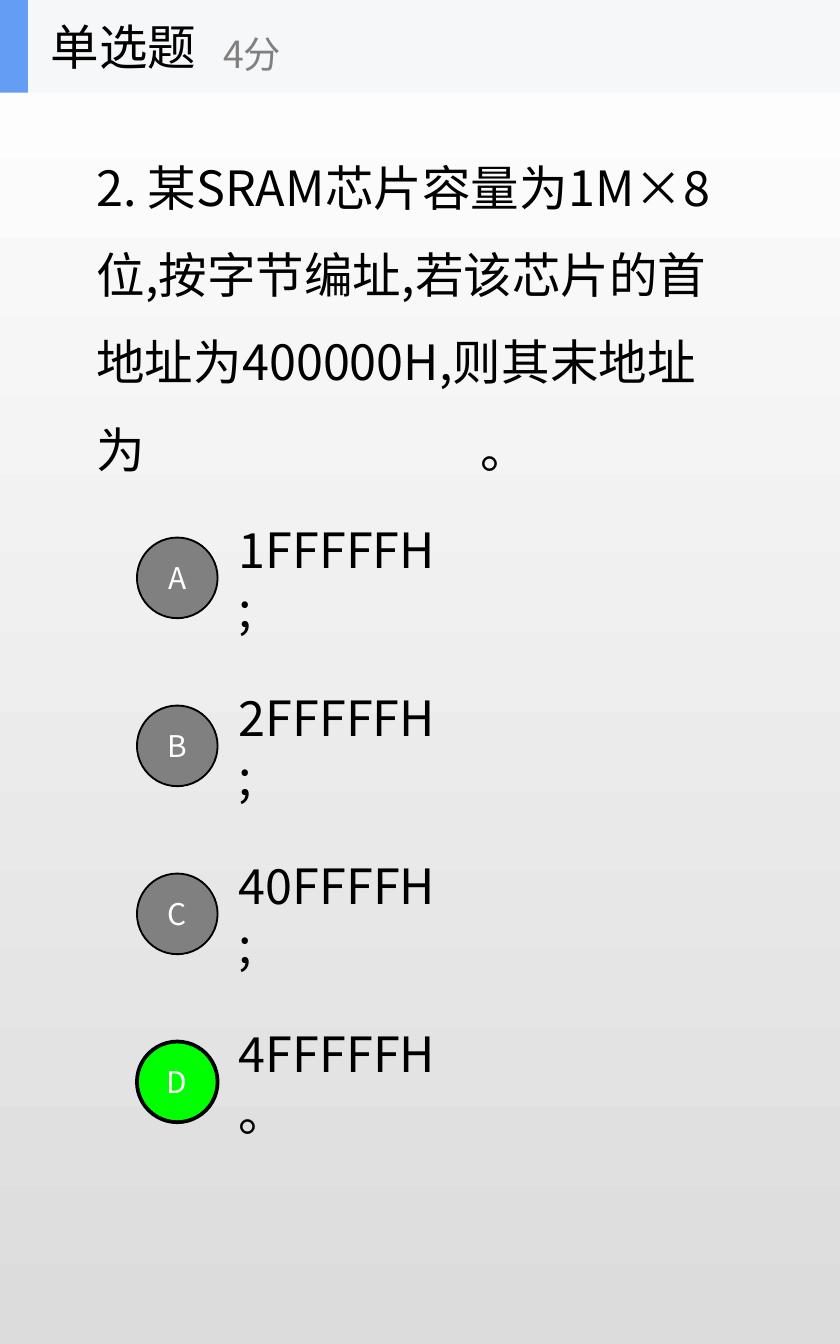
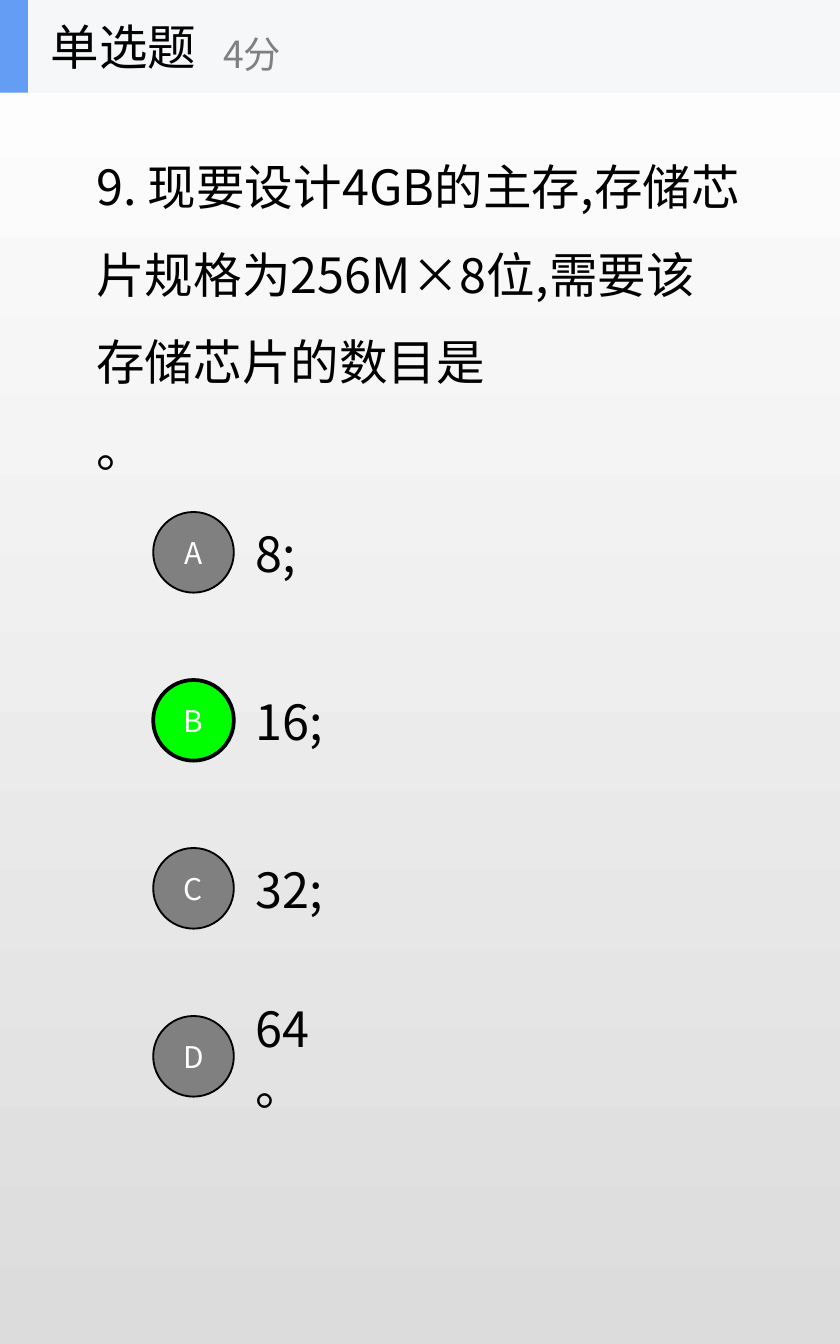
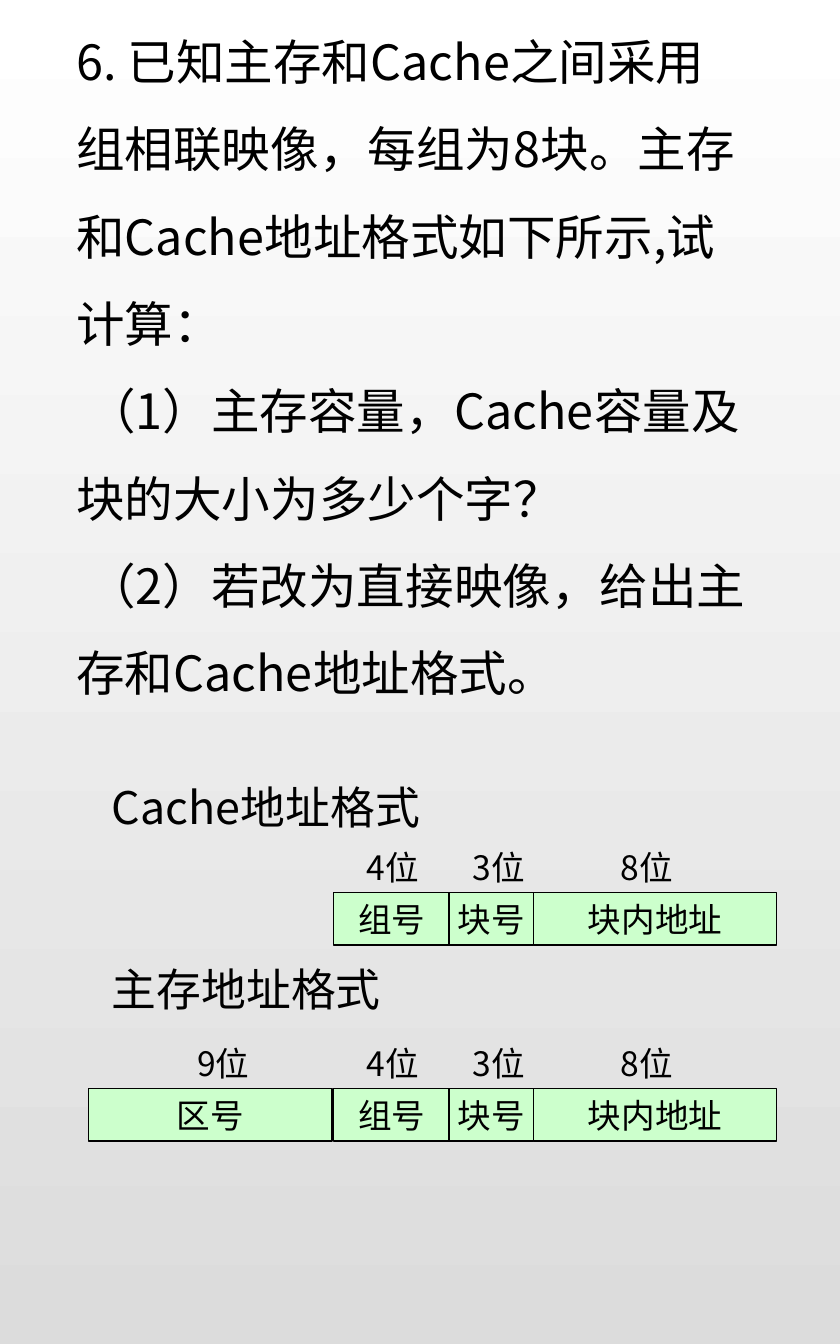
"""Build three computer-architecture quiz slides."""
from dataclasses import dataclass

from pptx import Presentation
from pptx.dml.color import RGBColor
from pptx.enum.shapes import MSO_SHAPE as SHAPE
from pptx.enum.text import MSO_ANCHOR as ANCHOR, MSO_AUTO_SIZE as AUTO, PP_ALIGN as ALIGN
from pptx.oxml.xmlchemy import OxmlElement
from pptx.util import Pt

CJK_FONT = "Noto Sans CJK SC"
LATIN_FONT = "Arial"
BLACK = RGBColor(0x00, 0x00, 0x00)
WHITE = RGBColor(0xFF, 0xFF, 0xFF)
GRAY = RGBColor(0x80, 0x80, 0x80)
BACK_END = RGBColor(0xDC, 0xDC, 0xDC)
BAND = RGBColor(0xF6, 0xF7, 0xF8)
ACCENT = RGBColor(0x63, 0x9E, 0xF4)
CORRECT = RGBColor(0x00, 0xFF, 0x00)
FIELD_FILL = RGBColor(0xCC, 0xFF, 0xCC)

SLIDE_W, SLIDE_H = 450, 720
BAND_H = 49.7
CIRCLE = 43.2
OPTION_PITCH = 90
FIELD_H = 28.1


@dataclass(frozen=True)
class Box:
    """Position and size in points."""
    left: float
    top: float
    width: float
    height: float

    def emu(self) -> tuple:
        """Return the four lengths for a python-pptx call."""
        return Pt(self.left), Pt(self.top), Pt(self.width), Pt(self.height)


@dataclass(frozen=True)
class Option:
    """One answer and the width of its text box."""
    text: str
    width: float


@dataclass(frozen=True)
class Choice:
    """A single-choice question with a blank ending at a tab stop."""
    stem: str
    box: Box
    blank_end: float
    left: float
    top: float
    options: tuple[Option, ...]
    answer: int


@dataclass(frozen=True)
class Field:
    """One part of an address and the label above it."""
    name: str
    left: float
    width: float
    bits: str
    bits_left: float
    bits_width: float = 54.7


@dataclass(frozen=True)
class Format:
    """A titled row of address fields."""
    title: str
    title_box: Box
    top: float
    fields: tuple[Field, ...]


CHOICES = (
    Choice("2. 某SRAM芯片容量为1M×8位,按字节编址,若该芯片的首地址为400000H,则其末地址为 ",
           Box(44.6, 64.1, 350.6, 196.6), 200, 73.4, 288,
           (Option("1FFFFFH;", 125.3), Option("2FFFFFH;", 125.3),
            Option("40FFFFH;", 126.7), Option("4FFFFFH。", 144.7)), 3),
    Choice("9. 现要设计4GB的主存,存储芯片规格为256M×8位,需要该存储芯片的数目是 ",
           Box(44.6, 87.8, 359.3, 149), 344, 82.1, 274.3,
           (Option("8;", 51.1), Option("16;", 51.1),
            Option("32;", 51.1), Option("64。", 55.4)), 1),
)

CACHE_QUESTION = (
    "6. 已知主存和Cache之间采用组相联映像，每组为8块。主存和Cache地址格式如下所示,试计算：",
    " （1）主存容量，Cache容量及块的大小为多少个字？",
    " （2）若改为直接映像，给出主存和Cache地址格式。",
)
CACHE_FIELDS = (
    Field("组号", 178.6, 62.6, "4位", 189.4),
    Field("块号", 240.5, 45.4, "3位", 246.2),
    Field("块内地址", 285.8, 130.3, "8位", 325.4),
)
ZONE_FIELD = Field("区号", 47.5, 130.3, "9位", 98.6, 51.1)
FORMATS = (
    Format(" Cache地址格式", Box(47.5, 414, 208.1, 36), 478.1, CACHE_FIELDS),
    Format(" 主存地址格式", Box(47.5, 511.9, 181.4, 36), 583.2, (ZONE_FIELD, *CACHE_FIELDS)),
)


def style(p, size: float, color: RGBColor = BLACK, font: str = CJK_FONT) -> None:
    """Format every run of a paragraph."""
    for r in p.runs:
        r.font.size = Pt(size)
        r.font.color.rgb = color
        r.font.name = font
        rpr = r._r.get_or_add_rPr()
        rpr.set("lang", "zh-CN")
        ea = OxmlElement("a:ea")
        ea.set("typeface", CJK_FONT)
        rpr.append(ea)


def add_text(shapes, box: Box, text: str, size: float, color: RGBColor = BLACK,
             anchor: ANCHOR = ANCHOR.TOP, grow: bool = True, wrap: bool = True):
    """Add a text box and return its text frame."""
    tf = shapes.add_textbox(*box.emu()).text_frame
    tf.text = text
    tf.word_wrap = wrap
    tf.auto_size = AUTO.SHAPE_TO_FIT_TEXT if grow else AUTO.NONE
    tf.vertical_anchor = anchor
    for p in tf.paragraphs:
        style(p, size, color)
    return tf


def add_filled(shapes, kind: SHAPE, box: Box, fill: RGBColor, line: float = 0):
    """Add a flat shape with a black outline, or none for zero width."""
    sp = shapes.add_shape(kind, *box.emu())
    sp.shadow.inherit = False
    sp.fill.solid()
    sp.fill.fore_color.rgb = fill
    if line:
        sp.line.color.rgb = BLACK
        sp.line.width = Pt(line)
    else:
        sp.line.fill.background()
    return sp


def add_label(sp, text: str, size: float, color: RGBColor, font: str) -> None:
    """Write centred text in a shape."""
    tf = sp.text_frame
    tf.text = text
    tf.word_wrap = False
    tf.vertical_anchor = ANCHOR.MIDDLE
    p = tf.paragraphs[0]
    p.alignment = ALIGN.CENTER
    style(p, size, color, font)


def add_header(s) -> None:
    """Draw the band with the question type and its points."""
    shapes = s.shapes.add_group_shape().shapes
    add_filled(shapes, SHAPE.RECTANGLE, Box(0, 0, SLIDE_W, BAND_H), BAND)
    add_filled(shapes, SHAPE.RECTANGLE, Box(0, 0, 15, BAND_H), ACCENT)
    add_text(shapes, Box(20, 0, 150, BAND_H), "单选题", 26,
             anchor=ANCHOR.MIDDLE, grow=False, wrap=False)
    add_text(shapes, Box(112.5, 8.5, 180, 40.5), "4分", 20, GRAY,
             anchor=ANCHOR.MIDDLE, grow=False, wrap=False)


def add_stem(s, choice: Choice) -> None:
    """Write the question with an underlined blank."""
    tf = add_text(s.shapes, choice.box, choice.stem, 26, anchor=ANCHOR.MIDDLE)
    p = tf.paragraphs[0]
    tabs = OxmlElement("a:tabLst")
    tab = OxmlElement("a:tab")
    tab.set("pos", str(Pt(choice.blank_end)))
    tab.set("algn", "l")
    tabs.append(tab)
    p._p.get_or_add_pPr().append(tabs)
    p.line_spacing = 1.5
    blank, end = p.add_run(), p.add_run()
    blank.text, end.text = "\t", " 。"
    blank.font.underline = True
    end.font.underline = False
    style(p, 26)


def add_choice_slide(prs, choice: Choice) -> None:
    """Build a single-choice slide."""
    s = prs.slides.add_slide(prs.slide_layouts[6])
    add_stem(s, choice)
    for i, option in enumerate(choice.options):
        top = choice.top + i * OPTION_PITCH
        add_text(s.shapes, Box(choice.left + 47.5, top + 2.9, option.width, 38.2),
                 option.text, 26, anchor=ANCHOR.MIDDLE)
        right = i == choice.answer
        sp = add_filled(s.shapes, SHAPE.OVAL, Box(choice.left, top, CIRCLE, CIRCLE),
                        CORRECT if right else GRAY, 2 if right else 1)
        add_label(sp, "ABCD"[i], 16, WHITE, CJK_FONT)
    add_header(s)


def add_format(s, fmt: Format) -> None:
    """Draw an address format with its bit counts."""
    add_text(s.shapes, fmt.title_box, fmt.title, 24)
    shapes = s.shapes.add_group_shape().shapes
    for f in fmt.fields:
        sp = add_filled(shapes, SHAPE.FLOWCHART_PROCESS,
                        Box(f.left, fmt.top, f.width, FIELD_H), FIELD_FILL, 0.75)
        add_label(sp, f.name, 18, BLACK, LATIN_FONT)
        add_text(shapes, Box(f.bits_left, fmt.top - FIELD_H, f.bits_width, 28.8), f.bits, 18)


def add_cache_slide(prs) -> None:
    """Build the cache mapping question."""
    s = prs.slides.add_slide(prs.slide_layouts[6])
    tf = add_text(s.shapes, Box(33.8, 46.8, 375.1, 283.7), "\n".join(CACHE_QUESTION), 26,
                  anchor=ANCHOR.MIDDLE, grow=False)
    for p in tf.paragraphs:
        p.line_spacing = 1.5
    for fmt in FORMATS:
        add_format(s, fmt)


def set_background(prs) -> None:
    """Give the master a vertical white-to-gray gradient."""
    fill = prs.slide_master.background.fill
    fill.gradient()
    fill.gradient_angle = 270
    for stop, color in zip(fill.gradient_stops, (WHITE, BACK_END)):
        stop.color.rgb = color


def main() -> None:
    """Create and save the presentation."""
    prs = Presentation()
    prs.slide_width, prs.slide_height = Pt(SLIDE_W), Pt(SLIDE_H)
    set_background(prs)
    for choice in CHOICES:
        add_choice_slide(prs, choice)
    add_cache_slide(prs)
    prs.save("out.pptx")


if __name__ == "__main__":
    main()
